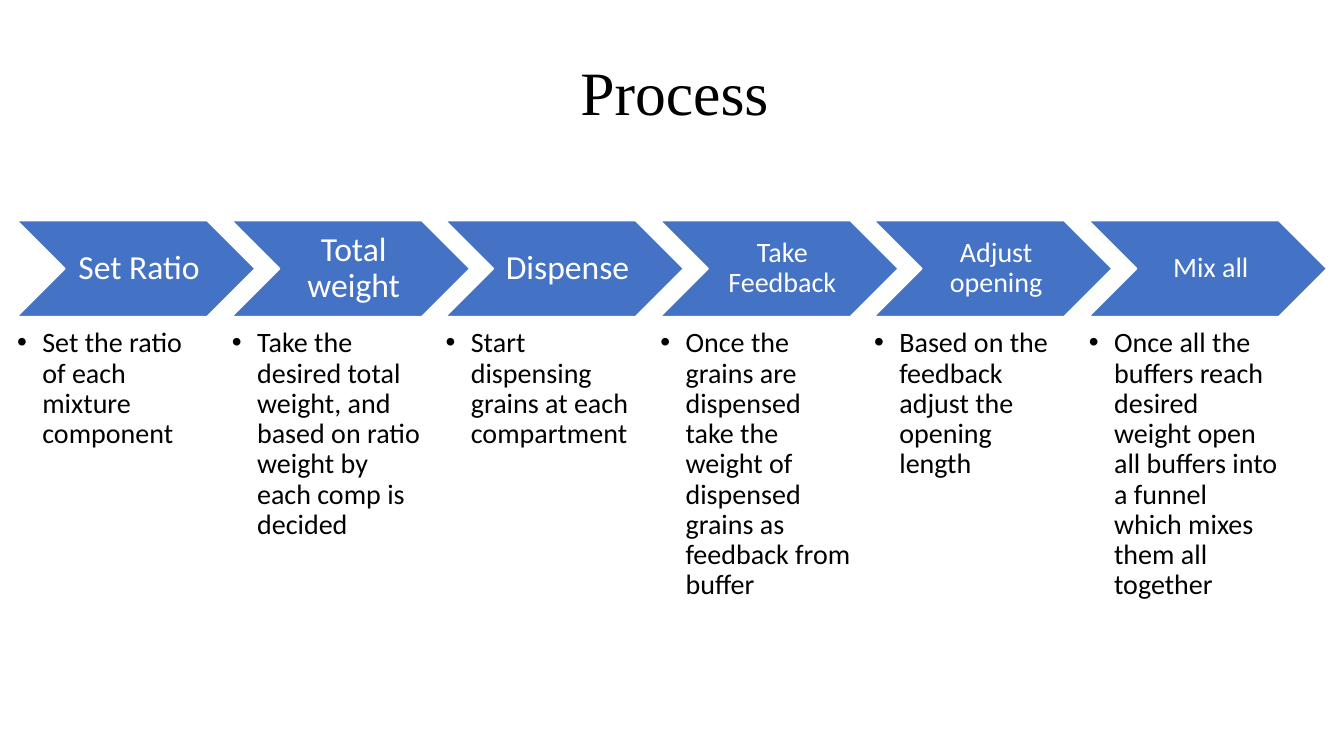
from dataclasses import dataclass

from lxml import etree
from pptx import Presentation
from pptx import util as u
from pptx.dml.color import RGBColor
from pptx.enum import shapes, text
from pptx.oxml import ns

PX = 9144  # EMU per px, 100 px to the inch
COLOURS = {"black": "000000", "white": "FFFFFF", "blue": "4472C4"}

FIRST_LEFT, LAST_LEFT = 17, 1080
CHEVRON_TOP, CHEVRON_WIDTH, CHEVRON_HEIGHT = 219, 236, 95
DETAIL_TOP, DETAIL_WIDTH, DETAIL_HEIGHT = 326, 189, 278
BULLET_INDENT = 25


@dataclass(frozen=True)
class Step:
    name: str
    detail: str
    name_size: int = 20


STEPS = [
    Step("Set Ratio", "Set the ratio of each mixture component", 24),
    Step("Total weight", "Take the desired total weight, and based on ratio "
         "weight by each comp is decided", 24),
    Step("Dispense", "Start dispensing grains at each compartment", 24),
    Step("Take Feedback", "Once the grains are dispensed take the weight of "
         "dispensed grains as feedback from buffer"),
    Step("Adjust opening", "Based on the feedback adjust the opening length"),
    Step("Mix all", "Once all the buffers reach desired weight open all "
         "buffers into a funnel which mixes them all together"),
]


def px(length: int) -> u.Emu:
    return u.Emu(length * PX)


def colour(name: str) -> RGBColor:
    return RGBColor.from_string(COLOURS[name])


def write(box, words: str, size: int, ink: str, align, anchor,
          margins: tuple[int, int], face: str = "Calibri"):
    """Fill a box with one paragraph; margins are left and the other sides."""
    frame = box.text_frame
    frame.text = words
    frame.word_wrap = True
    frame.auto_size = text.MSO_AUTO_SIZE.NONE
    frame.vertical_anchor = anchor
    frame.margin_left = px(margins[0])
    frame.margin_top = frame.margin_right = frame.margin_bottom = px(margins[1])
    para = frame.paragraphs[0]
    para.alignment = align
    para.line_spacing = 0.9
    font = para.runs[0].font
    font.name, font.size = face, u.Pt(size)
    font.color.rgb = colour(ink)
    return para


def add_bullet(para) -> None:
    properties = para._p.get_or_add_pPr()
    properties.set("marL", str(px(BULLET_INDENT)))
    properties.set("indent", str(px(-BULLET_INDENT)))
    etree.SubElement(properties, ns.qn("a:buFont"), typeface="Arial")
    etree.SubElement(properties, ns.qn("a:buChar"), char="•")


def add_title(page) -> None:
    title = page.shapes.title
    title.left, title.top = px(560), px(22)
    title.width, title.height = px(213), px(145)
    write(title, "Process", 44, "black", text.PP_ALIGN.CENTER,
          text.MSO_ANCHOR.MIDDLE, (10, 5), "Times New Roman")


def add_step(group, step: Step, left: int) -> None:
    # Chevron with the step name
    chevron = group.shapes.add_shape(
        shapes.MSO_SHAPE.CHEVRON, px(left), px(CHEVRON_TOP),
        px(CHEVRON_WIDTH), px(CHEVRON_HEIGHT))
    chevron.shadow.inherit = False
    chevron.fill.solid()
    chevron.fill.fore_color.rgb = colour("blue")
    chevron.line.color.rgb = colour("white")
    chevron.line.width = u.Pt(1)
    margins = (10, 4) if step.name_size == 24 else (9, 3)
    write(chevron, step.name, step.name_size, "white", text.PP_ALIGN.CENTER,
          text.MSO_ANCHOR.MIDDLE, margins)

    # Bulleted detail below
    detail = group.shapes.add_textbox(
        px(left), px(DETAIL_TOP), px(DETAIL_WIDTH), px(DETAIL_HEIGHT))
    para = write(detail, step.detail, 20, "black", text.PP_ALIGN.LEFT,
                 text.MSO_ANCHOR.TOP, (0, 0))
    para.level = 1
    add_bullet(para)


def main() -> None:
    deck = Presentation()
    deck.slide_width, deck.slide_height = px(1333), px(750)
    page = deck.slides.add_slide(deck.slide_layouts.get_by_name("Title Only"))
    add_title(page)

    # Process row, evenly spaced
    process = page.shapes.add_group_shape()
    pitch = (LAST_LEFT - FIRST_LEFT) / (len(STEPS) - 1)
    for index, step in enumerate(STEPS):
        add_step(process, step, round(FIRST_LEFT + index * pitch))

    deck.save("out.pptx")


if __name__ == "__main__":
    main()
